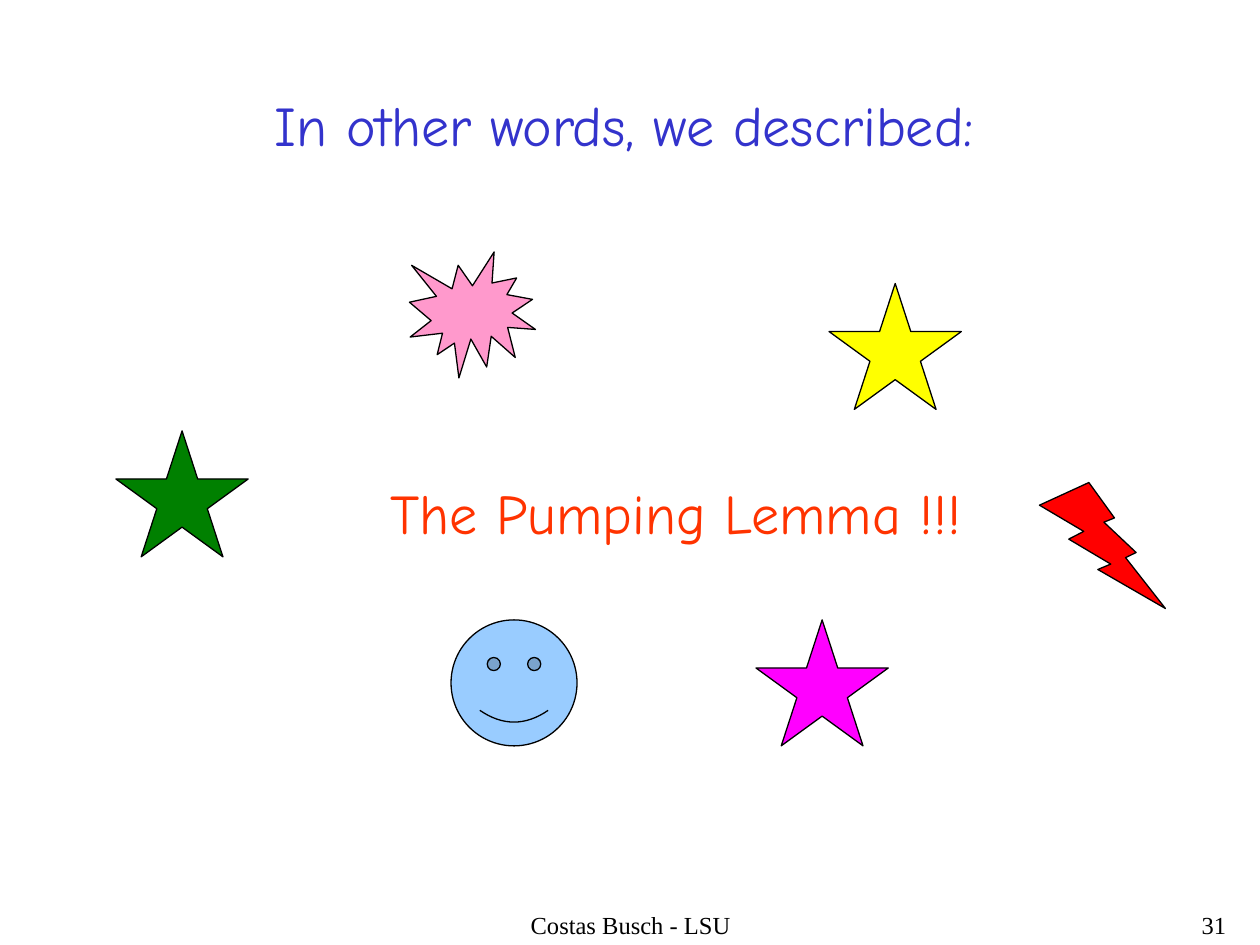
from dataclasses import dataclass

from pptx import Presentation
from pptx.dml.color import RGBColor
from pptx.enum.shapes import MSO_SHAPE
from pptx.enum.text import MSO_AUTO_SIZE, PP_ALIGN
from pptx.slide import Slide
from pptx.util import Inches, Pt

STAR = MSO_SHAPE.STAR_5_POINT
BURST = MSO_SHAPE.EXPLOSION1
SMILEY = MSO_SHAPE.SMILEY_FACE
BOLT = MSO_SHAPE.LIGHTNING_BOLT
LEFT, CENTER, RIGHT = PP_ALIGN.LEFT, PP_ALIGN.CENTER, PP_ALIGN.RIGHT
GROW, FIXED = MSO_AUTO_SIZE.SHAPE_TO_FIT_TEXT, MSO_AUTO_SIZE.NONE

COLORS = {
    "black": "000000",
    "blue": "3333CC",
    "orange": "FF3300",
    "yellow": "FFFF00",
    "green": "008000",
    "magenta": "FF00FF",
    "pink": "FF99CC",
    "sky": "99CCFF",
    "red": "FF0000",
}
FOOTER = {"name": "Times New Roman", "size": Pt(14)}
STATEMENT = {"name": "Comic Neue", "size": Pt(32)}


@dataclass
class SlideBuilder:
    """Holds the current slide and the style its elements share."""

    slide: Slide
    outline: str = "black"
    outline_width: float = 0.75

    def color(self, name):
        return RGBColor.from_string(COLORS[name])

    def text(self, wording, box, style, color, align=LEFT, fit=FIXED):
        frame = self.slide.shapes.add_textbox(*map(Inches, box)).text_frame
        frame.word_wrap = True
        frame.auto_size = fit
        paragraph = frame.paragraphs[0]
        paragraph.alignment = align
        run = paragraph.add_run()
        run.text = wording
        for attribute, value in style.items():
            setattr(run.font, attribute, value)
        run.font.color.rgb = self.color(color)

    def ornament(self, preset, left, top, color, width=1):
        figure = self.slide.shapes.add_shape(
            preset, Inches(left), Inches(top), Inches(width), Inches(1))
        figure.shadow.inherit = False
        figure.fill.solid()
        figure.fill.fore_color.rgb = self.color(color)
        figure.line.color.rgb = self.color(self.outline)
        figure.line.width = Pt(self.outline_width)


def main():
    deck = Presentation()
    deck.slide_width, deck.slide_height = Inches(10), Inches(7.5)
    builder = SlideBuilder(deck.slides.add_slide(deck.slide_layouts[6]))

    builder.text("Costas Busch - LSU", (3.42, 7.17, 3.17, 0.33), FOOTER, "black", CENTER)
    builder.text("31", (7.75, 7.17, 2.08, 0.33), FOOTER, "black", RIGHT)
    builder.text("In other words, we described:", (2.08, 0.67, 6.46, 0.63),
                 STATEMENT, "blue", fit=GROW)

    for left, top, color in ((6.58, 2.25, "yellow"), (0.92, 3.42, "green"),
                             (6, 4.92, "magenta")):
        builder.ornament(STAR, left, top, color, width=1.05)
    for preset, left, top, color in ((BURST, 3.25, 2, "pink"),
                                     (SMILEY, 3.58, 4.92, "sky"),
                                     (BOLT, 8.25, 3.83, "red")):
        builder.ornament(preset, left, top, color)

    builder.text("The Pumping Lemma !!!", (3, 3.75, 4.77, 0.63),
                 STATEMENT, "orange", fit=GROW)
    deck.save("out.pptx")


if __name__ == "__main__":
    main()
